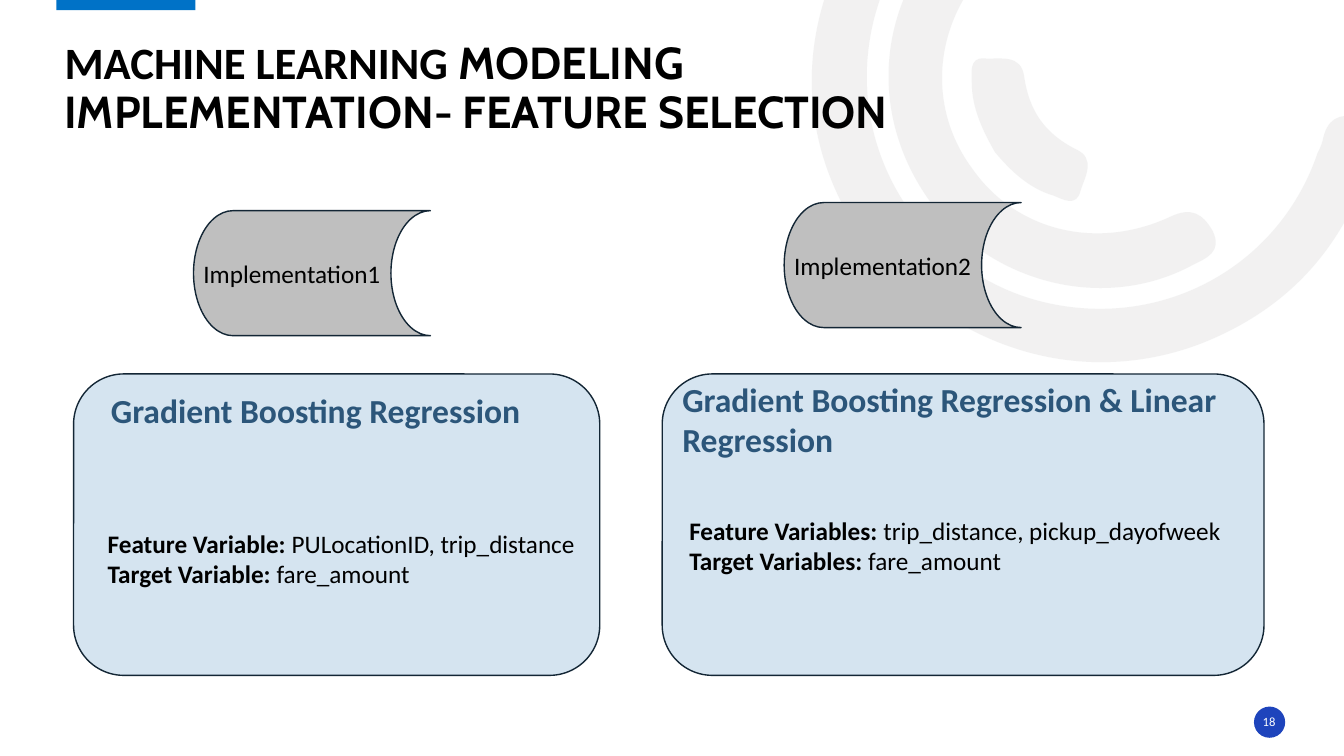
from dataclasses import dataclass
from math import cos, radians, sin

from lxml import etree
from pptx import Presentation
from pptx import util as u
from pptx.dml.color import RGBColor
from pptx.enum import shapes, text
from pptx.oxml import ns

PX = 9144  # EMU per px, 100 px to the inch
TURN = 144.2  # degrees, for all swirls
FONT = "Calibri"
HUES = {
    "swirl": "E7E6E6", "bar": "0072C7", "badge": "1E44BC", "card": "D5E4F0",
    "edge": "132635", "tag": "BFBFBF", "head": "2C567A", "ink": "000000",
    "white": "FFFFFF",
}
Box = tuple[int, int, int, int]
Dot = tuple[int, int]
KIND = shapes.MSO_SHAPE
FIT = text.MSO_AUTO_SIZE


@dataclass
class Swirl:
    frame: Box
    start: Dot
    curves: list[tuple[int, ...]]  # two handles and an end point each


@dataclass
class Panel:
    card: Box
    tag: Box
    name: str
    note: Box
    facts: list[tuple[str, str]]


SWIRLS = [
    Swirl((813, -202, 485, 600), (851, 229), [
        (799, 149, 787, 50, 838, -50), (890, -152, 976, -203, 1090, -207),
        (1105, -207, 1121, -210, 1131, -195), (1144, -175, 1127, -154, 1098, -154),
        (967, -154, 865, -59, 860, 68), (856, 181, 936, 281, 1046, 302),
        (1160, 324, 1270, 261, 1307, 152), (1309, 148, 1311, 144, 1312, 140),
        (1316, 119, 1327, 111, 1349, 117), (1373, 124, 1367, 141, 1361, 156),
        (1334, 245, 1278, 307, 1191, 341), (1070, 387, 936, 345, 851, 229),
    ]),
    Swirl((901, -78, 213, 426), (922, 199), [
        (862, 115, 869, 7, 940, -68), (951, -79, 962, -95, 980, -78),
        (995, -64, 997, -50, 979, -32), (925, 26, 920, 108, 965, 168),
        (1008, 229, 1088, 249, 1161, 215), (1182, 205, 1193, 212, 1203, 229),
        (1213, 250, 1197, 256, 1183, 263), (1096, 310, 983, 282, 922, 199),
    ]),
    Swirl((980, 37, 78, 183), (987, 151), [
        (975, 130, 964, 107, 964, 82), (964, 73, 961, 57, 976, 58),
        (992, 59, 1013, 53, 1016, 76), (1021, 110, 1036, 132, 1067, 148),
        (1088, 157, 1076, 176, 1072, 189), (1068, 206, 1055, 198, 1045, 194),
        (1021, 187, 1003, 170, 987, 151),
    ]),
]

PANELS = [
    Panel((657, 371, 597, 299), (778, 201, 235, 124), "Implementation2",
          (674, 506, 564, 71),
          [("Feature Variables: ", "trip_distance, pickup_dayofweek"),
           ("Target Variables: ", "fare_amount")]),
    Panel((73, 371, 522, 299), (192, 209, 235, 124), "Implementation1",
          (97, 519, 507, 71),
          [("Feature Variable: ", "PULocationID, trip_distance"),
           ("Target Variable: ", "fare_amount")]),
]


def hue(key: str) -> RGBColor:
    return RGBColor.from_string(HUES[key])


def emu(box: Box) -> list[int]:
    return [side * PX for side in box]


def place(item, box: Box) -> None:
    item.left, item.top, item.width, item.height = emu(box)


def style(para, size: int, key: str = "ink", bold: bool = False) -> None:
    font = para.font
    font.name, font.size, font.bold = FONT, u.Pt(size), bold
    font.color.rgb = hue(key)


def paint(shape, fill: str, edge: str = "") -> None:
    shape.shadow.inherit = False
    shape.fill.solid()
    shape.fill.fore_color.rgb = hue(fill)
    if edge:
        shape.line.color.rgb = hue(edge)
        shape.line.width = u.Pt(1)
    else:
        shape.line.fill.background()


def add(slide, kind: KIND, box: Box, fill: str, edge: str = "") -> None:
    paint(slide.shapes.add_shape(kind, *emu(box)), fill, edge)


def write(slide, box: Box):
    frame = slide.shapes.add_textbox(*emu(box)).text_frame
    frame.word_wrap = True
    frame.auto_size = FIT.SHAPE_TO_FIT_TEXT
    return frame


def strip(frame) -> None:
    frame.margin_left = frame.margin_right = 0
    frame.margin_top = frame.margin_bottom = 0


def unturn(dot: Dot, frame: Box) -> Dot:
    """Place of a slide point, in EMU, inside a frame before its turn."""
    left, top, wide, high = frame
    x, y = dot[0] - left - wide / 2, dot[1] - top - high / 2
    c, s = cos(radians(TURN)), sin(radians(TURN))
    return (round((x * c + y * s + wide / 2) * PX),
            round((y * c - x * s + high / 2) * PX))


def draw_swirl(slide, swirl: Swirl) -> None:
    ends = [curve[4:] for curve in swirl.curves]
    pen = slide.shapes.build_freeform(*swirl.start, scale=PX)
    pen.add_line_segments(ends, close=True)
    shape = pen.convert_to_shape()
    place(shape, swirl.frame)
    shape.rotation = TURN
    paint(shape, "swirl")
    tint = shape.element.find(".//" + ns.qn("a:srgbClr"))
    etree.SubElement(tint, ns.qn("a:alpha"), val="53000")
    # Curves in place of straight sides
    route = shape.element.find(".//" + ns.qn("a:path"))
    for node in list(route):
        route.remove(node)
    route.set("w", str(swirl.frame[2] * PX))
    route.set("h", str(swirl.frame[3] * PX))
    moves = [("a:moveTo", swirl.start)]
    moves += [("a:cubicBezTo", curve) for curve in swirl.curves]
    for tag, nums in moves:
        move = etree.SubElement(route, ns.qn(tag))
        for dot in zip(nums[::2], nums[1::2]):
            x, y = unturn(dot, swirl.frame)
            etree.SubElement(move, ns.qn("a:pt"), x=str(x), y=str(y))
    etree.SubElement(route, ns.qn("a:close"))


def draw_panel(slide, panel: Panel) -> None:
    add(slide, KIND.ROUNDED_RECTANGLE, panel.card, "card", "edge")
    add(slide, KIND.FLOWCHART_STORED_DATA, panel.tag, "tag", "edge")
    left, top = panel.tag[:2]
    label = write(slide, (left, top + 42, 200, 40)).paragraphs[0]
    label.text = panel.name
    style(label, 18)
    # Variables
    frame = write(slide, panel.note)
    for i, (term, value) in enumerate(panel.facts):
        para = frame.add_paragraph() if i else frame.paragraphs[0]
        style(para, 18)
        run = para.add_run()
        run.text, run.font.bold = term, True
        para.add_run().text = value


def fill_title(title) -> None:
    place(title, (64, 44, 857, 93))
    frame = title.text_frame
    frame.auto_size = FIT.NONE
    frame.vertical_anchor = text.MSO_ANCHOR.BOTTOM
    strip(frame)
    para = frame.paragraphs[0]
    para.alignment, para.line_spacing = text.PP_ALIGN.LEFT, 0.9
    style(para, 32, bold=True)
    para.add_run().text = "MACHINE LEARNING "
    run = para.add_run()
    run.text = "MODELING IMPLEMENTATION- FEATURE SELECTION"
    run.font.name = "Cabin"


def fill_body(body) -> None:
    place(body, (100, 386, 580, 97))
    frame = body.text_frame
    frame.auto_size = FIT.NONE
    frame.vertical_anchor = text.MSO_ANCHOR.TOP
    para = frame.paragraphs[0]
    para.text = "Gradient Boosting Regression"
    para.line_spacing, para.space_before = 0.9, u.Pt(0)
    style(para, 24, "head", True)


def main() -> None:
    deck = Presentation()
    deck.slide_width, deck.slide_height = u.Pt(960), u.Pt(540)
    slide = deck.slides.add_slide(deck.slide_layouts[2])
    title, body = slide.placeholders

    # Backdrop
    for swirl in SWIRLS:
        draw_swirl(slide, swirl)
    add(slide, KIND.RECTANGLE, (56, -2, 138, 12), "bar")

    # Page number
    add(slide, KIND.OVAL, (1244, 701, 31, 31), "badge")
    frame = write(slide, (1243, 706, 32, 20))
    frame.auto_size = FIT.NONE
    frame.vertical_anchor = text.MSO_ANCHOR.MIDDLE
    strip(frame)
    page = frame.paragraphs[0]
    page.text, page.alignment = "18", text.PP_ALIGN.CENTER
    style(page, 9, "white")

    # Panels
    for panel in PANELS:
        draw_panel(slide, panel)

    # Headings, in front of the backdrop and the cards
    fill_title(title)
    fill_body(body)
    for item in (title, body):
        item.element.getparent().append(item.element)
    head = write(slide, (667, 371, 552, 91)).paragraphs[0]
    head.text = "Gradient Boosting Regression & Linear Regression"
    style(head, 24, "head", True)

    deck.save("out.pptx")


if __name__ == "__main__":
    main()
